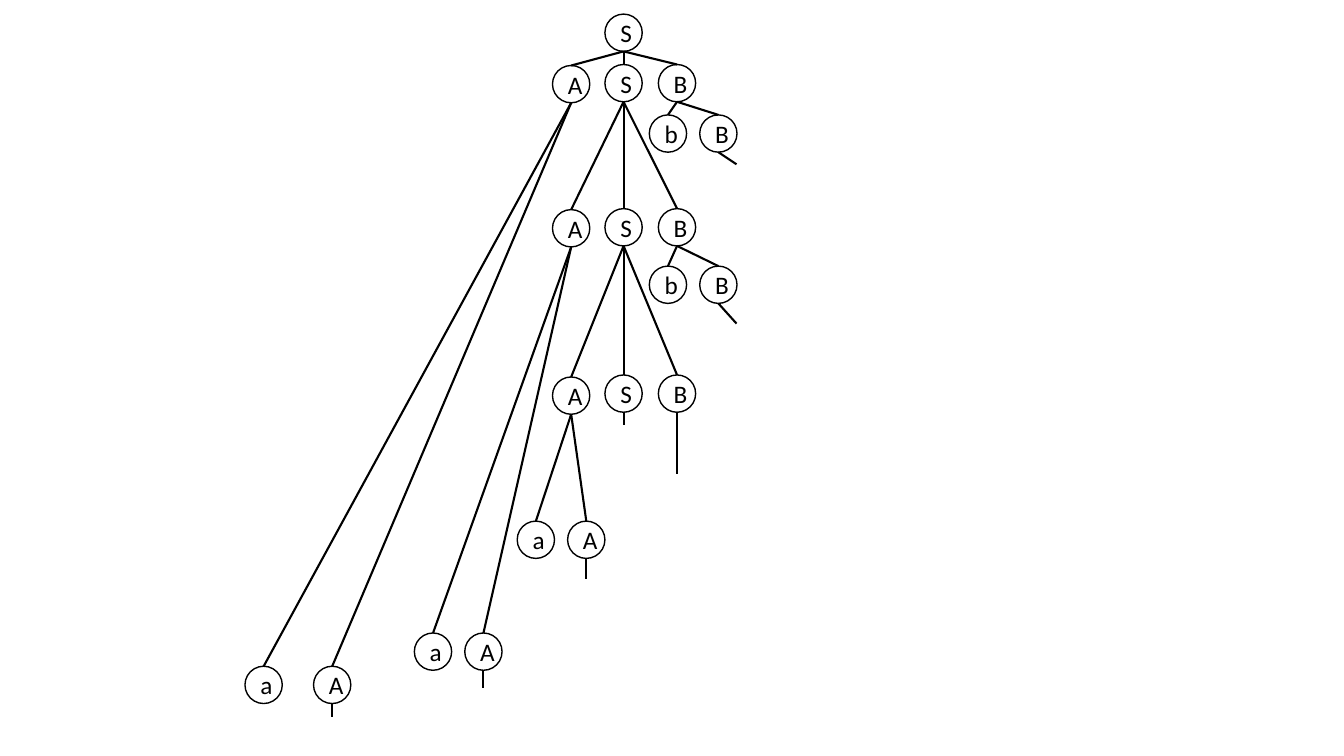
"""Draw the parse tree in which S expands to A S B, A to a A and B to b B."""
from dataclasses import dataclass
from typing import Iterator, Optional

from lxml.etree import SubElement
from pptx import Presentation
from pptx.dml.color import RGBColor
from pptx.enum.shapes import MSO_CONNECTOR, MSO_SHAPE
from pptx.enum.text import PP_ALIGN
from pptx.oxml.ns import qn
from pptx.slide import Slide
from pptx.util import Pt

EMU_PER_PX = 9144
SLIDE_WIDTH, SLIDE_HEIGHT = 1333, 750
DIAMETER = 37
RADIUS = DIAMETER * EMU_PER_PX // 2
A_LEFT, S_LEFT, B_LEFT = 548, 600, 653
SMALL_B_LEFT, NEXT_B_LEFT = 644, 694
BLACK = RGBColor(0x00, 0x00, 0x00)
WHITE = RGBColor(0xFF, 0xFF, 0xFF)
LETTER_FORMAT = {"name": "Calibri", "size": Pt(18)}


@dataclass(frozen=True)
class Stub:
    """Open branch below a symbol, as an offset in px."""
    dx: int
    dy: int


@dataclass(frozen=True)
class Symbol:
    """Tree symbol with its circle's corner in px and its branches."""
    letter: str
    left: int
    top: int
    children: tuple["Symbol", ...] = ()
    stub: Optional[Stub] = None

    @property
    def head(self) -> tuple[int, int]:
        """Top centre of the circle in EMU."""
        return px(self.left) + RADIUS, px(self.top)

    @property
    def foot(self) -> tuple[int, int]:
        """Bottom centre of the circle in EMU."""
        return px(self.left) + RADIUS, px(self.top + DIAMETER)


def px(length: int) -> int:
    """Convert px to EMU."""
    return length * EMU_PER_PX


def expand_a(terminal_left: int, next_left: int, top: int, stub: Stub) -> tuple[Symbol, ...]:
    """Apply the rule A to a A."""
    return Symbol("a", terminal_left, top), Symbol("A", next_left, top, stub=stub)


def expand_b(top: int, stub: Stub) -> tuple[Symbol, ...]:
    """Apply the rule B to b B."""
    return Symbol("b", SMALL_B_LEFT, top), Symbol("B", NEXT_B_LEFT, top, stub=stub)


def walk(symbol: Symbol) -> Iterator[Symbol]:
    """Yield a symbol and all its descendants."""
    yield symbol
    for child in symbol.children:
        yield from walk(child)


def draw_circle(slide: Slide, symbol: Symbol) -> None:
    """Draw a symbol as a lettered circle."""
    circle = slide.shapes.add_shape(
        MSO_SHAPE.OVAL, px(symbol.left), px(symbol.top), px(DIAMETER), px(DIAMETER))
    circle.shadow.inherit = False
    circle.fill.solid()
    circle.fill.fore_color.rgb = WHITE
    circle.line.color.rgb = BLACK
    circle.line.width = Pt(1)
    letter = circle.text_frame.paragraphs[0]
    letter.alignment = PP_ALIGN.CENTER
    run = letter.add_run()
    run.text = symbol.letter
    for attribute, value in LETTER_FORMAT.items():
        setattr(run.font, attribute, value)
    run.font.color.rgb = BLACK


def draw_branch(slide: Slide, start: tuple[int, int], end: tuple[int, int]) -> None:
    """Draw a straight branch between two points in EMU."""
    branch = slide.shapes.add_connector(MSO_CONNECTOR.STRAIGHT, *start, *end)
    branch.line.color.rgb = BLACK
    branch.line.width = Pt(1.5)
    SubElement(branch._element.spPr, qn("a:effectLst"))


def build_tree() -> Symbol:
    """Build the derivation from its lowest level up to the root."""
    third_level = (
        Symbol("A", A_LEFT, 374, expand_a(513, 563, 517, Stub(0, 20))),
        Symbol("S", S_LEFT, 372, stub=Stub(0, 13)),
        Symbol("B", B_LEFT, 372, stub=Stub(0, 61)),
    )
    second_level = (
        Symbol("A", A_LEFT, 208, expand_a(411, 461, 628, Stub(0, 18))),
        Symbol("S", S_LEFT, 207, third_level),
        Symbol("B", B_LEFT, 207, expand_b(264, Stub(18, 20))),
    )
    first_level = (
        Symbol("A", A_LEFT, 65, expand_a(243, 311, 661, Stub(0, 13))),
        Symbol("S", S_LEFT, 64, second_level),
        Symbol("B", B_LEFT, 64, expand_b(114, Stub(18, 12))),
    )
    return Symbol("S", S_LEFT, 14, first_level)


def main() -> None:
    """Create the slide and save it."""
    presentation = Presentation()
    presentation.slide_width = px(SLIDE_WIDTH)
    presentation.slide_height = px(SLIDE_HEIGHT)
    slide = presentation.slides.add_slide(presentation.slide_layouts.get_by_name("Blank"))
    symbols = list(walk(build_tree()))
    for symbol in symbols:
        draw_circle(slide, symbol)
    for symbol in symbols:
        for child in symbol.children:
            draw_branch(slide, symbol.foot, child.head)
        if symbol.stub:
            x, y = symbol.foot
            draw_branch(slide, symbol.foot, (x + px(symbol.stub.dx), y + px(symbol.stub.dy)))
    presentation.save("out.pptx")


if __name__ == "__main__":
    main()
